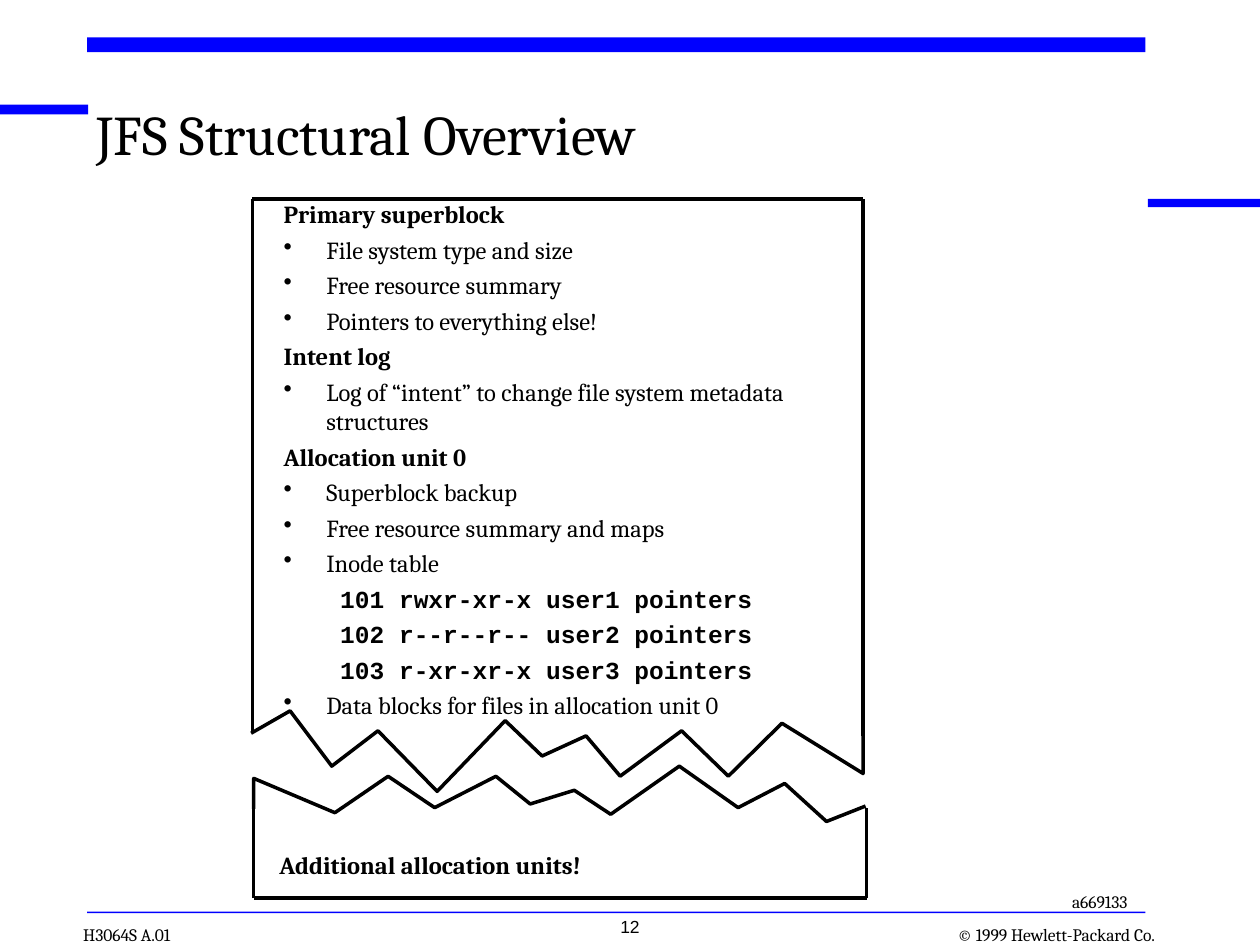
from typing import NamedTuple

from lxml import etree
from pptx import Presentation
from pptx.dml.color import RGBColor
from pptx.enum.shapes import MSO_CONNECTOR, MSO_SHAPE
from pptx.enum.text import MSO_ANCHOR, PP_ALIGN
from pptx.oxml.ns import qn
from pptx.util import Pt

LEFT, CENTER, RIGHT = PP_ALIGN.LEFT, PP_ALIGN.CENTER, PP_ALIGN.RIGHT
TOP, BOTTOM = MSO_ANCHOR.TOP, MSO_ANCHOR.BOTTOM
STRAIGHT = MSO_CONNECTOR.STRAIGHT
RECTANGLE = MSO_SHAPE.RECTANGLE

BLUE, BLACK = "0000FF", "000000"
SERIF, MONO = "Cambria", "Courier New"
OUTLINE_WIDTH = 2


class Box(NamedTuple):
    left: float
    top: float
    width: float
    height: float


class Point(NamedTuple):
    x: float
    y: float


class Label(NamedTuple):
    text: str
    box: Box
    size: float = 10
    font: str = SERIF
    bold: bool = False
    align: PP_ALIGN = LEFT
    anchor: MSO_ANCHOR = TOP
    inset: Point = Point(0, 0)
    wrap: bool = False
    line_spacing: float = 1.0


class Style(NamedTuple):
    font: str = SERIF
    bold: bool = False
    margin: float = 24.5
    hanging: float = 24.5
    bullet: str = ""


HEADING = Style(bold=True)
ITEM = Style(bullet="•")
INODE = Style(font=MONO, bold=True, margin=52.6, hanging=20.2)

BARS = [
    Box(0, 59.8, 50.4, 5.6),
    Box(49.8, 21.4, 604.8, 8.5),
    Box(656, 113.7, 64, 4.7),
    Box(49.8, 521, 604.8, 0.8),
]

LABELS = [
    Label("© 1999 Hewlett-Packard Co.", Box(529, 527.8, 131, 12.2), align=RIGHT, anchor=BOTTOM),
    Label("H3064S A.01", Box(47.5, 527.8, 59, 12.2), anchor=BOTTOM),
    Label("JFS Structural Overview", Box(55.2, 62.6, 581, 48.2), size=32, wrap=True,
          line_spacing=0.85),
    Label("a669133", Box(605.5, 505.4, 54, 19.4), inset=Point(7.2, 3.6)),
    Label("Additional allocation units!", Box(152.6, 482.4, 203.8, 24.5), size=14, bold=True,
          inset=Point(7.2, 3.6)),
    Label("12", Box(285, 519.8, 150, 23.8), font="Arial", align=CENTER,
          inset=Point(7.2, 3.6), wrap=True),
]

STRUCTURE_BOX = Box(162, 113.8, 337.7, 307.4)
STRUCTURE = [
    ("Primary superblock", HEADING),
    ("File system type and size", ITEM),
    ("Free resource summary", ITEM),
    ("Pointers to everything else!", ITEM),
    ("Intent log", HEADING),
    ("Log of “intent” to change file system metadata structures", ITEM),
    ("Allocation unit 0", HEADING),
    ("Superblock backup", ITEM),
    ("Free resource summary and maps", ITEM),
    ("Inode table", ITEM),
    ("101 rwxr-xr-x user1 pointers", INODE),
    ("102 r--r--r-- user2 pointers", INODE),
    ("103 r-xr-xr-x user3 pointers", INODE),
    ("Data blocks for files in allocation unit 0", ITEM),
]

EDGES = [
    (Point(144.2, 113.8), Point(144.2, 417.8)),
    (Point(144.2, 113.8), Point(493.2, 113.8)),
    (Point(493.2, 113.8), Point(493.2, 420.5)),
    (Point(495.2, 513.2), Point(495.2, 461.5)),
    (Point(145, 513.2), Point(145, 459.4)),
    (Point(145, 513.2), Point(495.2, 513.2)),
]

TORN_BOTTOM = [
    Point(143.5, 419), Point(165.8, 406.2), Point(189.6, 437.8), Point(216, 417.6),
    Point(249.8, 452.2), Point(288.7, 411.8), Point(309.8, 432), Point(334.9, 420.5),
    Point(354.4, 443.5), Point(389.5, 417.6), Point(416.2, 443.5), Point(446.8, 413.3),
    Point(493.2, 442), Point(493.2, 416.2),
]
TORN_TOP = [
    Point(494.6, 460.6), Point(472.3, 469.4), Point(448.4, 447.7), Point(421.8, 461.5),
    Point(388.2, 437.8), Point(349, 465.3), Point(328.2, 451.6), Point(303, 459.4),
    Point(283.4, 443.6), Point(248.4, 461.5), Point(221.8, 443.6), Point(191.4, 464.4),
    Point(145, 444.8), Point(145, 462.2),
]


def color(hex_code: str) -> RGBColor:
    return RGBColor.from_string(hex_code)


def write_text(paragraph, text: str, *, size: float, font: str = SERIF, bold: bool = False,
               align: PP_ALIGN = LEFT, line_spacing: float = 1.0, space_before: float = 0,
               margin: float = 0, hanging: float = 0, bullet: str = "") -> None:
    properties = paragraph._p.get_or_add_pPr()
    properties.set("marL", str(Pt(margin)))
    properties.set("indent", str(-Pt(hanging)))
    if bullet:
        etree.SubElement(properties, qn("a:buChar")).set("char", bullet)
    paragraph.alignment = align
    paragraph.line_spacing = line_spacing
    paragraph.space_before = Pt(space_before)
    run = paragraph.add_run()
    run.text = text
    run.font.name = font
    run.font.size = Pt(size)
    run.font.bold = bold
    run.font.color.rgb = color(BLACK)


def add_frame(slide, box: Box, *, anchor: MSO_ANCHOR = TOP, inset: Point = Point(0, 0),
              wrap: bool = True):
    frame = slide.shapes.add_textbox(*map(Pt, box)).text_frame
    frame.word_wrap = wrap
    frame.vertical_anchor = anchor
    frame.margin_left = frame.margin_right = Pt(inset.x)
    frame.margin_top = frame.margin_bottom = Pt(inset.y)
    return frame


def add_label(slide, label: Label) -> None:
    frame = add_frame(slide, label.box, anchor=label.anchor, inset=label.inset, wrap=label.wrap)
    write_text(frame.paragraphs[0], label.text, size=label.size, font=label.font,
               bold=label.bold, align=label.align, line_spacing=label.line_spacing)


def add_structure(slide) -> None:
    frame = add_frame(slide, STRUCTURE_BOX)
    for index, (text, style) in enumerate(STRUCTURE):
        paragraph = frame.add_paragraph() if index else frame.paragraphs[0]
        write_text(paragraph, text, size=14, space_before=3.5 if index else 0,
                   **style._asdict())


def add_bar(slide, box: Box) -> None:
    bar = slide.shapes.add_shape(RECTANGLE, *map(Pt, box))
    bar.shadow.inherit = False
    bar.fill.solid()
    bar.fill.fore_color.rgb = color(BLUE)
    bar.line.fill.background()


def set_outline(line) -> None:
    line.color.rgb = color(BLACK)
    line.width = Pt(OUTLINE_WIDTH)


def add_edge(slide, start: Point, end: Point) -> None:
    edge = slide.shapes.add_connector(STRAIGHT, *map(Pt, start + end))
    set_outline(edge.line)
    etree.SubElement(edge._element.spPr, qn("a:effectLst"))


def add_torn_edge(slide, points: list[Point]) -> None:
    start, *rest = [(Pt(point.x), Pt(point.y)) for point in points]
    builder = slide.shapes.build_freeform(*start)
    builder.add_line_segments(rest, close=False)
    torn_edge = builder.convert_to_shape()
    torn_edge.shadow.inherit = False
    torn_edge.fill.background()
    set_outline(torn_edge.line)


def main() -> None:
    presentation = Presentation()
    presentation.slide_width, presentation.slide_height = Pt(720), Pt(540)
    slide = presentation.slides.add_slide(presentation.slide_layouts[6])
    for bar in BARS:
        add_bar(slide, bar)
    for start, end in EDGES:
        add_edge(slide, start, end)
    for points in (TORN_BOTTOM, TORN_TOP):
        add_torn_edge(slide, points)
    add_structure(slide)
    for label in LABELS:
        add_label(slide, label)
    presentation.save("out.pptx")


if __name__ == "__main__":
    main()
